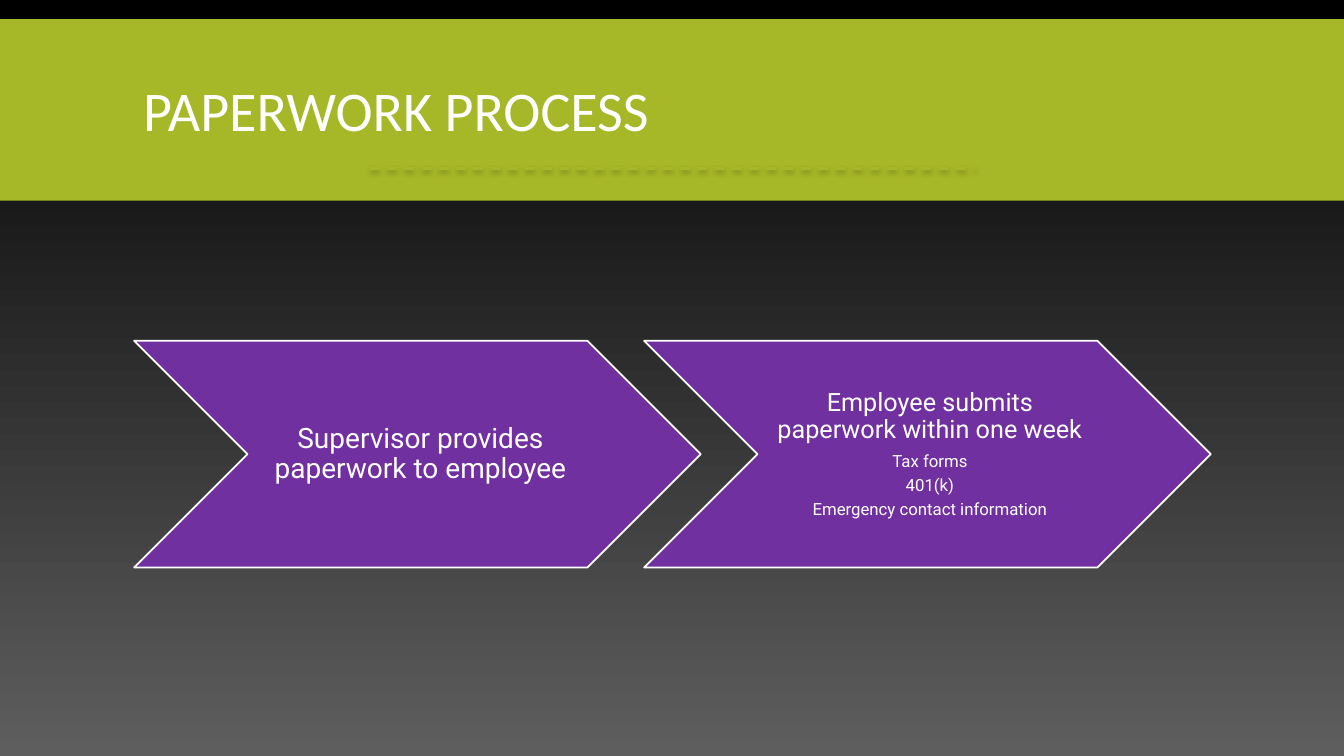
"""Build the paperwork process slide: a title band above two chevron steps."""
from dataclasses import dataclass

from lxml.etree import SubElement
from pptx import Presentation
from pptx.dml.color import RGBColor as RGB
from pptx.enum.dml import MSO_LINE as Dash
from pptx.enum.shapes import MSO_CONNECTOR as Connector, MSO_SHAPE as Shape
from pptx.enum.text import MSO_ANCHOR as Anchor, MSO_AUTO_SIZE as AutoSize, PP_ALIGN as Align
from pptx.oxml.ns import qn
from pptx.util import Inches, Pt


@dataclass(frozen=True)
class Theme:
    night: RGB = RGB(0x00, 0x00, 0x00)
    slate: RGB = RGB(0x5E, 0x5E, 0x5E)
    lime: RGB = RGB(0xA6, 0xB7, 0x27)
    purple: RGB = RGB(0x70, 0x30, 0xA0)
    white: RGB = RGB(0xFF, 0xFF, 0xFF)
    heading_font: str = "Calibri"
    body_font: str = "Roboto"
    heading_size: int = 40
    detail_size: int = 12


theme = Theme()


def add_run(paragraph, text, font, size):
    run = paragraph.add_run()
    run.text = text
    run.font.name = font
    run.font.size = Pt(size)
    run.font.color.rgb = theme.white


deck = Presentation()
deck.slide_width, deck.slide_height = Inches(13.33), Inches(7.5)
slide = deck.slides.add_slide(deck.slide_layouts[5])
shapes = slide.shapes

backdrop = slide.background.fill
backdrop.gradient()
backdrop.gradient_angle = 270
for stop, colour, position in zip(backdrop.gradient_stops, (theme.night, theme.slate), (0, 1)):
    stop.color.rgb = colour
    stop.position = position

band = shapes.add_shape(Shape.RECTANGLE, 0, Inches(0.19), deck.slide_width, Inches(1.8))
band.shadow.inherit = False
band.fill.solid()
band.fill.fore_color.rgb = theme.lime
band.line.fill.background()

rule = shapes.add_connector(Connector.STRAIGHT, Inches(3.67), Inches(1.67), Inches(9.67), Inches(1.67))
rule.line.color.rgb = theme.lime
rule.line.width = Pt(1.75)
rule.line.dash_style = Dash.DASH
effects = SubElement(rule.element.spPr, qn("a:effectLst"))
glow = SubElement(effects, qn("a:outerShdw"), blurRad=str(Pt(4)), dist=str(Pt(2)),
                  dir="5400000", algn="ctr", rotWithShape="0")
tint = SubElement(glow, qn("a:srgbClr"), val=str(theme.night))
SubElement(tint, qn("a:alpha"), val="28000")

heading = shapes.title
for backing in (band, rule):
    heading.element.addprevious(backing.element)
heading.left, heading.top = Inches(1.32), Inches(0.31)
heading.width, heading.height = Inches(10.7), Inches(1.65)
heading.text_frame.auto_size = AutoSize.NONE
heading.text_frame.vertical_anchor = Anchor.MIDDLE
heading_line = heading.text_frame.paragraphs[0]
heading_line.alignment = Align.LEFT
heading_line.line_spacing = 0.85
add_run(heading_line, "PAPERWORK PROCESS", theme.heading_font, theme.heading_size)

steps = [
    (20, 0.09, "Supervisor provides paperwork to employee", []),
    (18, 0.08, "Employee submits paperwork within one week",
     ["Tax forms", "401(k)", "Emergency contact information"]),
]
first_left, step_top, step_width, step_height = 1.33, 3.38, 5.62, 2.25
step_pitch = step_width * 0.9

for column, (lead_size, left_inset, lead, details) in enumerate(steps):
    step = shapes.add_shape(Shape.CHEVRON, Inches(first_left + column * step_pitch), Inches(step_top),
                            Inches(step_width), Inches(step_height))
    step.shadow.inherit = False
    step.fill.solid()
    step.fill.fore_color.rgb = theme.purple
    step.line.color.rgb = theme.white
    step.line.width = Pt(1.25)

    words = step.text_frame
    words.word_wrap = True
    words.vertical_anchor = Anchor.MIDDLE
    words.margin_left = Inches(left_inset)
    words.margin_top = words.margin_right = words.margin_bottom = Inches(0.03)
    lines = [(lead, lead_size)] + [(detail, theme.detail_size) for detail in details]
    for row, (text, size) in enumerate(lines):
        paragraph = words.add_paragraph() if row else words.paragraphs[0]
        paragraph.alignment = Align.CENTER
        paragraph.line_spacing = 0.9
        paragraph.space_after = Pt(size * 0.35)
        add_run(paragraph, text, theme.body_font, size)

deck.save("out.pptx")
